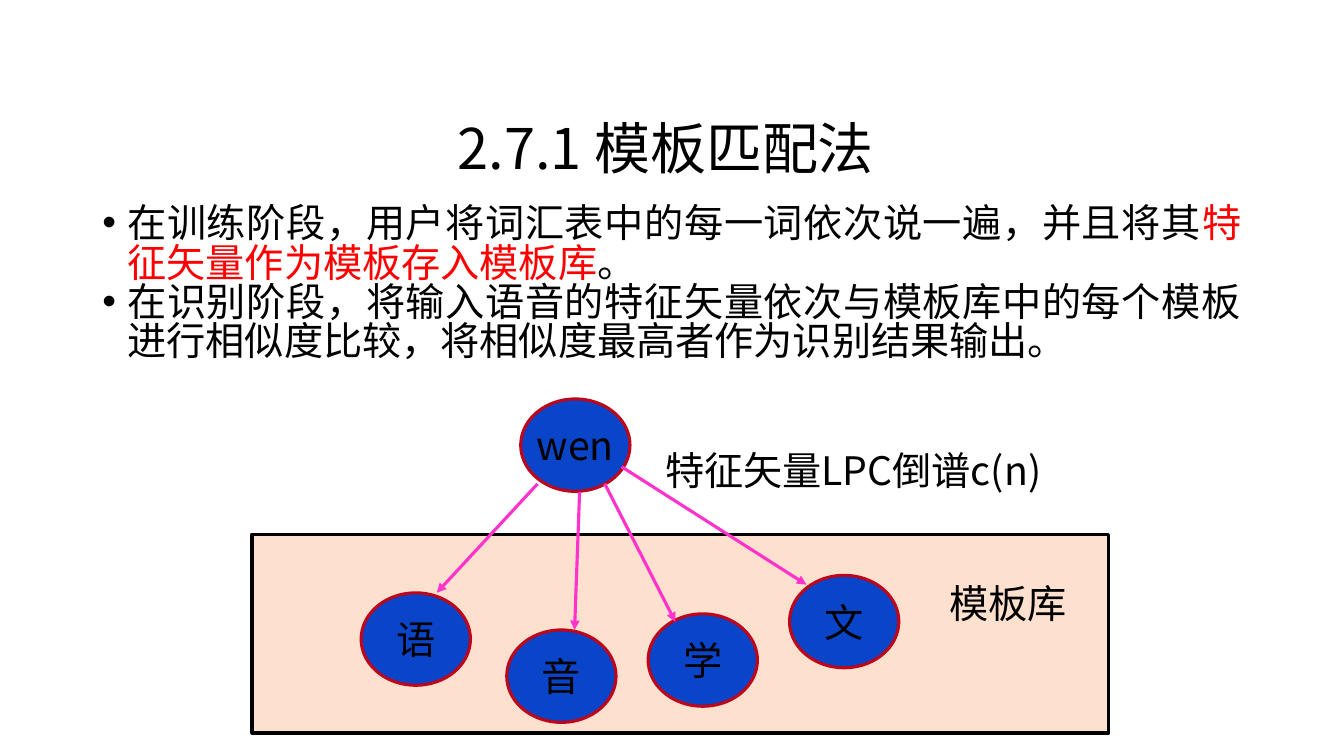
"""Build the slide on template matching for speech recognition."""
import dataclasses

import lxml.etree
import pptx
import pptx.dml.color
import pptx.enum.shapes
import pptx.enum.text
import pptx.oxml.ns
import pptx.util

Pt = pptx.util.Pt
qn = pptx.oxml.ns.qn
Align = pptx.enum.text.PP_ALIGN
Anchor = pptx.enum.text.MSO_ANCHOR
AutoSize = pptx.enum.text.MSO_AUTO_SIZE
Preset = pptx.enum.shapes.MSO_SHAPE

FONT = "Noto Sans CJK SC"
BLACK, RED, PINK = "000000", "FF0000", "FF33CC"
LINE_WIDTH = 2.25
WORD_WIDTH, WORD_HEIGHT = 78, 66


@dataclasses.dataclass(frozen=True)
class Word:
    text: str
    left: float
    top: float


@dataclasses.dataclass(frozen=True)
class Comparison:
    start: tuple[float, float]
    end: tuple[float, float]


WORDS = [
    Word("语", 258, 423.5),
    Word("文", 564, 411),
    Word("学", 463, 438.5),
    Word("音", 362, 450),
    Word("wen", 372, 285),
]
COMPARISONS = [
    Comparison((384, 345.6), (312, 423.4)),
    Comparison((414, 351.4), (410.4, 450)),
    Comparison((432, 345.6), (482.4, 444.2)),
    Comparison((444, 333.4), (576, 417.6)),
]
STAGES = [
    [
        ("在训练阶段，用户将词汇表中的每一词依次说一遍，并且将其", BLACK),
        ("特征矢量作为模板存入模板库", RED),
        ("。", BLACK),
    ],
    [
        ("在识别阶段，将输入语音的特征矢量依次与模板库中的每个模板"
         "进行相似度比较，将相似度最高者作为识别结果输出。", BLACK),
    ],
]


def rgb(value: str) -> pptx.dml.color.RGBColor:
    return pptx.dml.color.RGBColor.from_string(value)


def write(paragraph, text: str, *, size: float = 28, color: str = BLACK,
          align=None, spacing=None) -> None:
    if align is not None:
        paragraph.alignment = align
    if spacing is not None:
        paragraph.line_spacing = spacing
    run = paragraph.add_run()
    run.text = text
    run.font.size = Pt(size)
    run.font.name = FONT
    run.font.color.rgb = rgb(color)
    east_asian = lxml.etree.Element(qn("a:ea"), typeface=FONT)
    run.font._element.find(qn("a:latin")).addnext(east_asian)


def add_bullet(paragraph) -> None:
    properties = paragraph._p.get_or_add_pPr()
    properties.set("marL", str(Pt(18)))
    properties.set("indent", str(Pt(-18)))
    lxml.etree.SubElement(properties, qn("a:buFont"), typeface="Arial")
    lxml.etree.SubElement(properties, qn("a:buChar"), char="•")


def add_box(slide, left: float, top: float, width: float, height: float,
            *, wrap: bool = True, auto_size=AutoSize.NONE):
    frame = slide.shapes.add_textbox(
        Pt(left), Pt(top), Pt(width), Pt(height)).text_frame
    frame.word_wrap = wrap
    frame.auto_size = auto_size
    return frame


def add_outlined(slide, preset, left: float, top: float, width: float,
                 height: float, *, fill: str, line: str):
    shape = slide.shapes.add_shape(
        preset, Pt(left), Pt(top), Pt(width), Pt(height))
    shape.shadow.inherit = False
    shape.fill.solid()
    shape.fill.fore_color.rgb = rgb(fill)
    shape.line.color.rgb = rgb(line)
    shape.line.width = Pt(LINE_WIDTH)
    return shape


def add_word(slide, word: Word) -> None:
    oval = add_outlined(slide, Preset.OVAL, word.left, word.top,
                        WORD_WIDTH, WORD_HEIGHT, fill="0944C9", line="BC061C")
    frame = oval.text_frame
    frame.word_wrap = False
    frame.vertical_anchor = Anchor.MIDDLE
    write(frame.paragraphs[0], word.text, align=Align.CENTER)


def add_arrow(slide, comparison: Comparison) -> None:
    arrow = slide.shapes.add_connector(
        pptx.enum.shapes.MSO_CONNECTOR.STRAIGHT,
        *map(Pt, comparison.start + comparison.end))
    arrow.line.color.rgb = rgb(PINK)
    arrow.line.width = Pt(LINE_WIDTH)
    lxml.etree.SubElement(arrow.line._get_or_add_ln(), qn("a:tailEnd"),
                          type="triangle")
    lxml.etree.SubElement(arrow._element.spPr, qn("a:effectLst"))


def add_title(slide) -> None:
    title = slide.shapes.title
    title.left, title.top, title.width, title.height = map(
        Pt, (66, 28.8, 828, 104.4))
    title.text_frame.vertical_anchor = Anchor.BOTTOM
    write(title.text_frame.paragraphs[0], "2.7.1 模板匹配法 ",
          size=40, align=Align.CENTER, spacing=0.9)


def add_stages(slide) -> None:
    body = add_box(slide, 66, 144, 828, 342.7)
    for index, stage in enumerate(STAGES):
        paragraph = body.add_paragraph() if index else body.paragraphs[0]
        add_bullet(paragraph)
        for text, color in stage:
            write(paragraph, text, color=color, align=Align.JUSTIFY,
                  spacing=Pt(28))


def main() -> None:
    deck = pptx.Presentation()
    deck.slide_width, deck.slide_height = Pt(960), Pt(540)
    slide = deck.slides.add_slide(deck.slide_layouts.get_by_name("Title Only"))
    add_title(slide)
    add_stages(slide)
    add_outlined(slide, Preset.RECTANGLE, 180, 381.6, 612, 142,
                 fill="FEE0CF", line=BLACK)
    feature = add_box(slide, 468, 315.4, 312, 41,
                      auto_size=AutoSize.SHAPE_TO_FIT_TEXT)
    write(feature.paragraphs[0], "特征矢量LPC倒谱c(n)")
    for word in WORDS:
        add_word(slide, word)
    for comparison in COMPARISONS:
        add_arrow(slide, comparison)
    library = add_box(slide, 671, 410.4, 98.6, 41, wrap=False,
                      auto_size=AutoSize.SHAPE_TO_FIT_TEXT)
    write(library.paragraphs[0], "模板库")
    deck.save("out.pptx")


if __name__ == "__main__":
    main()
